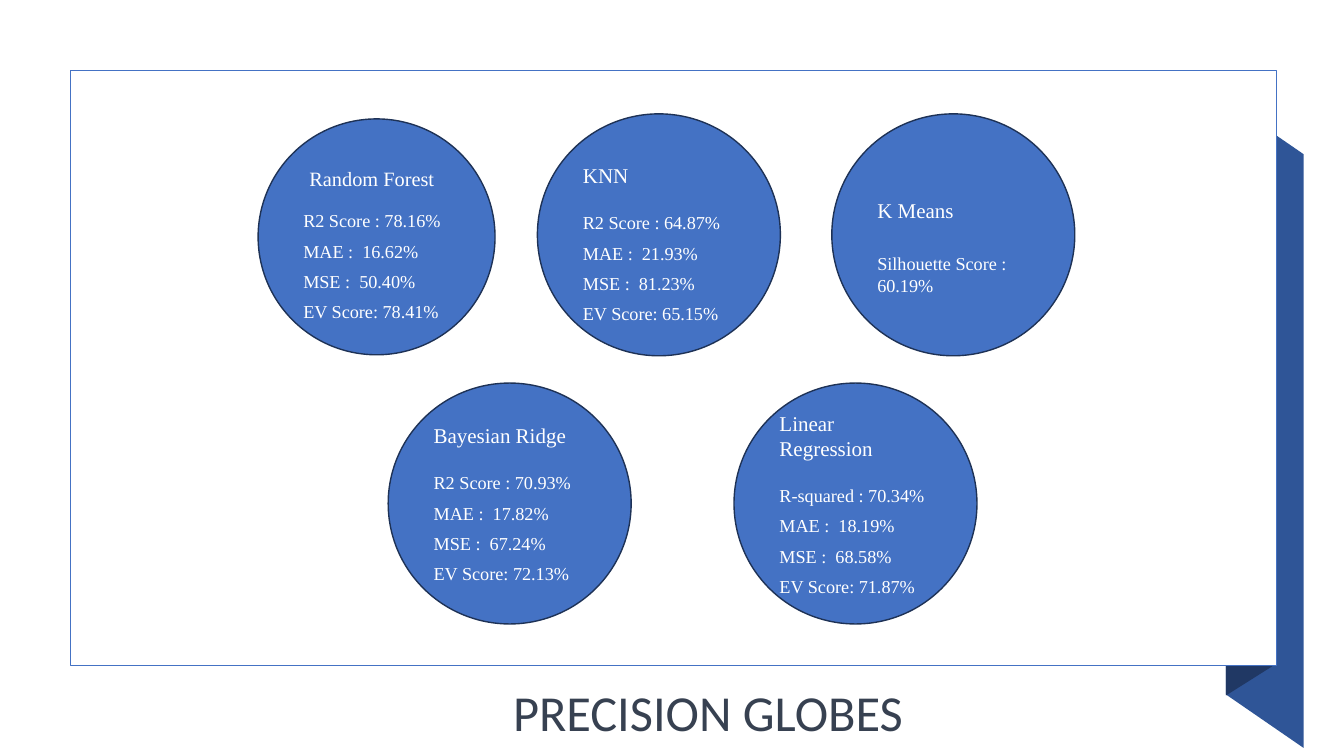
import pptx
import pptx.dml.color
import pptx.enum.shapes
import pptx.enum.text
import pptx.util
from dataclasses import dataclass

Inches = pptx.util.Inches
Pt = pptx.util.Pt


@dataclass(frozen=True)
class Theme:
    white: str = "FFFFFF"
    blue: str = "4472C4"
    outline: str = "1E3256"
    ribbon: str = "2F5597"
    fold: str = "203864"
    title_color: str = "374151"
    body_font: str = "Times New Roman"
    title_font: str = "Calibri"
    title_size: float = 36
    name_size: float = 15
    small_name_size: float = 14.5
    score_size: float = 13
    score_gap: float = 6


class SlideBuilder:
    def __init__(self, slide, theme):
        self.slide = slide
        self.theme = theme

    def paint(self, shape, fill, line=None):
        shape.shadow.inherit = False
        shape.fill.solid()
        shape.fill.fore_color.rgb = pptx.dml.color.RGBColor.from_string(fill)
        if line is None:
            shape.line.fill.background()
        else:
            shape.line.color.rgb = pptx.dml.color.RGBColor.from_string(line)
            shape.line.width = Pt(1)

    def polygon(self, points, fill):
        corners = [(Inches(x), Inches(y)) for x, y in points]
        builder = self.slide.shapes.build_freeform(*corners[0])
        builder.add_line_segments(corners[1:], close=True)
        self.paint(builder.convert_to_shape(), fill)

    def preset(self, kind, box, fill, line):
        shape = self.slide.shapes.add_shape(kind, *map(Inches, box))
        self.paint(shape, fill, line)
        return shape

    def set_lines(self, frame, lines, font, color):
        """Each line is (text, size, space after), the last two in points."""
        frame.word_wrap = True
        frame.text = "\n".join(text for text, _, _ in lines)
        for paragraph, (_, size, gap) in zip(frame.paragraphs, lines):
            paragraph.alignment = pptx.enum.text.PP_ALIGN.LEFT
            paragraph.space_after = Pt(gap)
            for run in paragraph.runs:
                run.font.name = font
                run.font.size = Pt(size)
                run.font.color.rgb = pptx.dml.color.RGBColor.from_string(color)

    def text_box(self, box, lines, font, color):
        shape = self.slide.shapes.add_textbox(*map(Inches, box))
        self.set_lines(shape.text_frame, lines, font, color)

    def globe(self, box, lines=(), top_margin=0):
        shape = self.preset(pptx.enum.shapes.MSO_SHAPE.OVAL, box,
                            self.theme.blue, self.theme.outline)
        if lines:
            frame = shape.text_frame
            frame.vertical_anchor = pptx.enum.text.MSO_ANCHOR.MIDDLE
            frame.margin_top, frame.margin_bottom = Inches(top_margin), 0
            self.set_lines(frame, lines, self.theme.body_font, self.theme.white)

    def score_lines(self, scores):
        return [(score, self.theme.score_size, self.theme.score_gap)
                for score in scores]


def regression_scores(r2, mae, mse, ev, r2_label="R2 Score"):
    return [f"{r2_label} : {r2}%", f"MAE :  {mae}%",
            f"MSE :  {mse}%", f"EV Score: {ev}%"]


def main():
    presentation = pptx.Presentation()
    presentation.slide_width = Inches(13.33)
    presentation.slide_height = Inches(7.5)
    slide = presentation.slides.add_slide(presentation.slide_layouts[6])
    theme = Theme()
    builder = SlideBuilder(slide, theme)

    # Ribbon behind the panel
    builder.polygon([(12.93, 7.42), (12.16, 6.89), (12.16, 1), (12.93, 1.53)],
                    theme.ribbon)
    builder.polygon([(12.62, 6.61), (12.16, 6.9), (12.16, 1), (12.62, 0.7)],
                    theme.fold)

    # Panel
    builder.preset(pptx.enum.shapes.MSO_SHAPE.RECTANGLE,
                   (0.7, 0.7, 11.96, 5.9), theme.white, theme.blue)

    # Random Forest globe with separate labels
    builder.globe((2.56, 1.18, 2.35, 2.34))
    builder.text_box((2.97, 1.6, 2.22, 0.35),
                     [("Random Forest", theme.small_name_size, theme.score_gap)],
                     theme.body_font, theme.white)
    builder.text_box((2.91, 2.03, 1.64, 1.23),
                     builder.score_lines(
                         regression_scores("78.16", "16.62", "50.40", "78.41")),
                     theme.body_font, theme.white)

    # Other globes: box, name, gap below name, top margin, scores
    globes = [
        ((5.33, 1.13, 2.41, 2.4), "KNN", 17, 0.17,
         regression_scores("64.87", "21.93", "81.23", "65.15")),
        ((8.25, 1.13, 2.41, 2.4), "K Means", 21, 0.24,
         ["Silhouette Score : 60.19%"]),
        ((3.85, 3.8, 2.41, 2.39), "Bayesian Ridge", 17, 0,
         regression_scores("70.93", "17.82", "67.24", "72.13")),
        ((7.28, 3.8, 2.41, 2.39), "Linear Regression", 17, 0,
         regression_scores("70.34", "18.19", "68.58", "71.87", "R-squared")),
    ]
    for box, name, gap, top_margin, scores in globes:
        lines = [(name, theme.name_size, gap)] + builder.score_lines(scores)
        builder.globe(box, lines, top_margin)

    # Slide title
    builder.text_box((4.99, 6.71, 5.66, 0.71),
                     [("PRECISION GLOBES", theme.title_size, 0)],
                     theme.title_font, theme.title_color)

    presentation.save("out.pptx")


if __name__ == "__main__":
    main()
